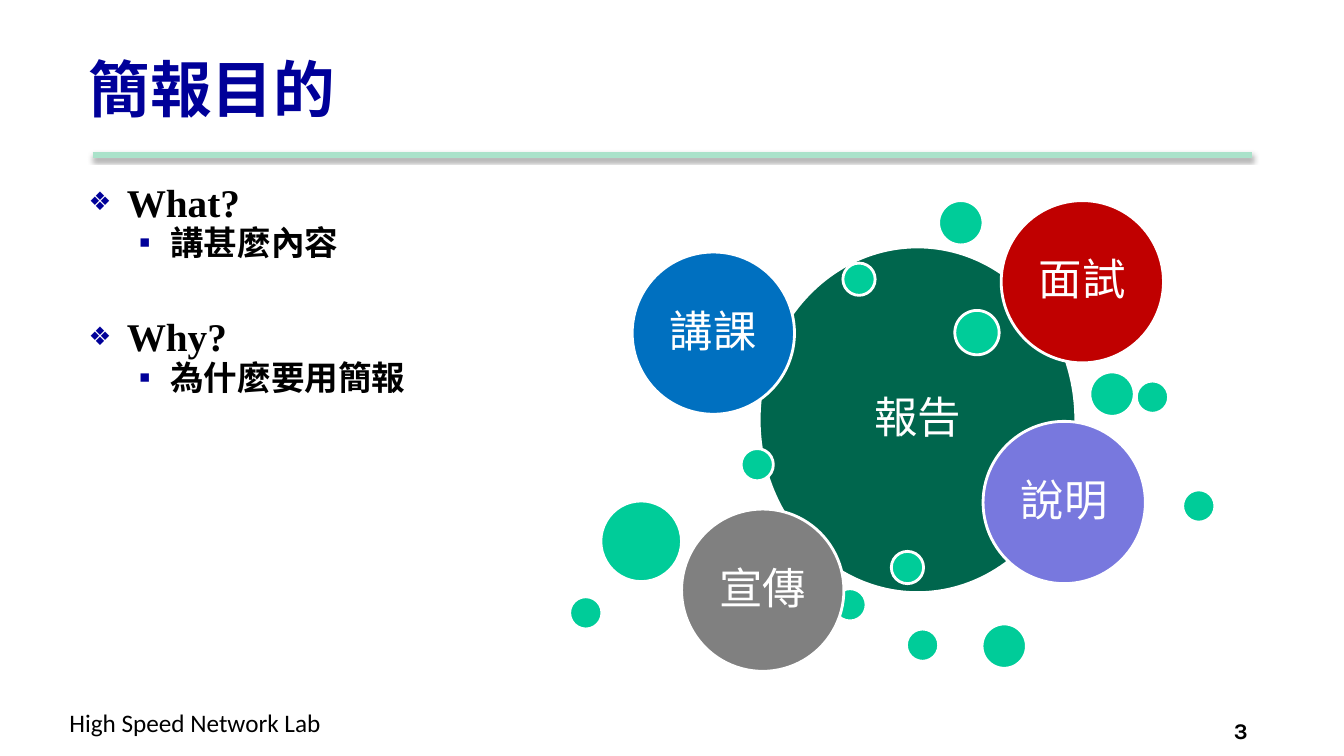
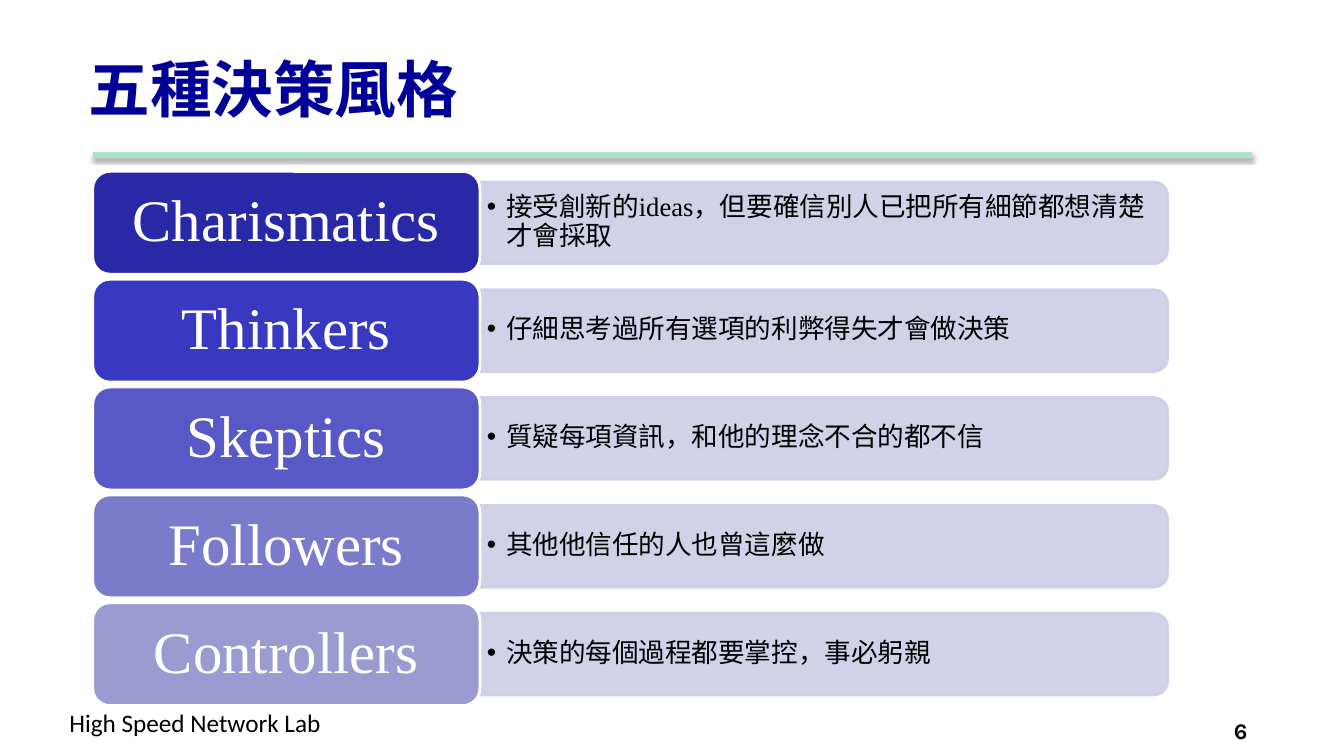
from lxml.etree import SubElement
from pptx import Presentation
from pptx.dml.color import RGBColor
from pptx.enum.shapes import MSO_CONNECTOR, MSO_SHAPE as Preset
from pptx.enum.text import MSO_ANCHOR as Anchor, PP_ALIGN as Align
from pptx.oxml import parse_xml
from pptx.oxml.ns import nsdecls, qn
from pptx.util import Pt

PX = 9144  # 100 px to the inch
colour = RGBColor.from_string

NAVY, MINT, GREEN = "000099", "AAE2CA", "00CC99"
BLACK, WHITE, LILAC = "000000", "FFFFFF", "CDCDE6"
SERIF, SANS, CHINESE = "Times New Roman", "Calibri", "Noto Sans CJK SC"


def add_box(slide, box, preset=None, fill=None, line=WHITE, opacity=100, margins=(10, 5), **frame_format):
    """Add a text box, or a filled preset shape; margins are (side, top and bottom)."""
    box = [round(length * PX) for length in box]
    if preset is None:
        shape = slide.shapes.add_textbox(*box)
    else:
        shape = slide.shapes.add_shape(preset, *box)
        shape.shadow.inherit = False
        shape.fill.solid()
        shape.fill.fore_color.rgb = colour(fill)
        shape.line.color.rgb = colour(line)
        shape.line.width = Pt(2)
        if opacity < 100:
            for value in shape._element.spPr.iter(qn("a:srgbClr")):
                SubElement(value, qn("a:alpha"), val=str(opacity * 1000))
    side, end = margins
    frame_format = {"word_wrap": True, "margin_left": side * PX, "margin_right": side * PX,
                    "margin_top": end * PX, "margin_bottom": end * PX, **frame_format}
    for name, value in frame_format.items():
        setattr(shape.text_frame, name, value)
    return shape


def add_paragraph(shape, text, size, font=SERIF, hex_colour=BLACK, bold=False, bullet=None, **paragraph_format):
    """Write one paragraph; bullet is (character, colour, size in percent, text indent, hanging)."""
    frame = shape.text_frame
    paragraph = frame.add_paragraph() if frame.text else frame.paragraphs[0]
    if bullet:
        character, bullet_colour, percent, indent, hanging = bullet
        properties = paragraph._p.get_or_add_pPr()
        properties.set("marL", str(indent * PX))
        properties.set("indent", str(-hanging * PX))
        SubElement(SubElement(properties, qn("a:buClr")), qn("a:srgbClr"), val=bullet_colour)
        SubElement(properties, qn("a:buSzPct"), val=str(percent * 1000))
        SubElement(properties, qn("a:buFont"), typeface="Arial")
        SubElement(properties, qn("a:buChar"), char=character)
    for name, value in paragraph_format.items():
        setattr(paragraph, name, value)
    run = paragraph.add_run()
    run.text = text
    for name, value in {"size": Pt(size), "name": font, "bold": bold}.items():
        setattr(run.font, name, value)
    run.font.color.rgb = colour(hex_colour)
    SubElement(run._r.get_or_add_rPr(), qn("a:ea"), typeface=CHINESE)


presentation = Presentation()
presentation.slide_width = 1333 * PX
presentation.slide_height = 750 * PX
blank_layout = presentation.slide_layouts[6]

# Shared frame: rule, footer, page number and title
slides = []
for number, title in ((3, "簡報目的"), (6, "五種決策風格")):
    slide = presentation.slides.add_slide(blank_layout)
    slides.append(slide)
    rule = slide.shapes.add_connector(MSO_CONNECTOR.STRAIGHT, 92 * PX, 154 * PX, 1242 * PX, 154 * PX)
    rule.line.color.rgb = colour(MINT)
    rule.line.width = Pt(4.5)
    rule._element.spPr.append(parse_xml(
        f'<a:effectLst {nsdecls("a")}>'
        '<a:outerShdw blurRad="40000" dist="20000" dir="5400000" rotWithShape="0">'
        f'<a:srgbClr val="{BLACK}"><a:alpha val="38000"/></a:srgbClr>'
        '</a:outerShdw></a:effectLst>'))
    add_paragraph(add_box(slide, (59, 697, 279, 40)), "High Speed Network Lab", 18, SANS)
    add_paragraph(add_box(slide, (1214, 707, 99, 30)), str(number), 16, "Karla", bold=True)
    title_box = add_box(slide, (78, 25, 1133, 125), vertical_anchor=Anchor.MIDDLE)
    add_paragraph(title_box, title, 44, CHINESE, NAVY, bold=True)
purpose_slide, styles_slide = slides

# Purpose: questions on the left
questions = (
    ("What?", "講甚麼內容", 0),
    ("Why?", "為什麼要用簡報", 41),
)
question_box = add_box(purpose_slide, (78, 179, 480, 300))
for question, answer, gap in questions:
    add_paragraph(question_box, question, 28, bold=True, bullet=("❖", NAVY, 65, 38, 38),
                  line_spacing=0.85, space_before=Pt(gap))
    add_paragraph(question_box, answer, 24, bold=True, bullet=("▪", NAVY, 100, 81, 31),
                  level=1, line_spacing=0.85, space_before=Pt(2))

# Purpose: bubbles from back to front (left, top, diameter, fill, label)
add_dot = (GREEN, "")
bubbles = (
    (931, 199, 44, *add_dot),
    (827, 584, 32, *add_dot),
    (1127, 378, 32, *add_dot),
    (974, 619, 44, *add_dot),
    (836, 261, 32, *add_dot),
    (735, 445, 32, *add_dot),
    (627, 250, 161, "0070C0", "講課"),
    (947, 308, 44, *add_dot),
    (596, 497, 80, *add_dot),
    (993, 199, 161, "C00000", "面試"),
    (1081, 369, 44, *add_dot),
    (565, 592, 32, *add_dot),
    (884, 547, 32, *add_dot),
    (975, 418, 161, "7878DE", "說明"),
    (1173, 486, 32, *add_dot),
    (676, 505, 161, "808080", "宣傳"),
    (899, 624, 32, *add_dot),
)
ovals = [((753, 245, 314, 343), "00664D", "報告")]
ovals += [((left, top, size, size), fill, label) for left, top, size, fill, label in bubbles]
for box, fill, label in ovals:
    oval = add_box(purpose_slide, box, Preset.OVAL, fill, margins=(0, 0),
                   word_wrap=False, vertical_anchor=Anchor.MIDDLE)
    if label:
        add_paragraph(oval, label, 31, SANS, WHITE, alignment=Align.CENTER, line_spacing=0.9)

# Decision styles: one row each
styles = (
    ("Charismatics", "2929A8", "接受創新的ideas，但要確信別人已把所有細節都想清楚才會採取"),
    ("Thinkers", "3838C0", "仔細思考過所有選項的利弊得失才會做決策"),
    ("Skeptics", "5858C6", "質疑每項資訊，和他的理念不合的都不信"),
    ("Followers", "7B7BCB", "其他他信任的人也曾這麼做"),
    ("Controllers", "9B9BD1", "決策的每個過程都要掌控，事必躬親"),
)
FIRST_ROW, ROW_PITCH, LABEL_HEIGHT = 170, 107, 102
PANEL_LEFT, PANEL_WIDTH, PANEL_HEIGHT = 476, 682, 81
for row, (name, fill, description) in enumerate(styles):
    top = FIRST_ROW + row * ROW_PITCH
    middle = top + LABEL_HEIGHT / 2
    # The panel is drawn upright and turned so that its round corners face right
    panel = add_box(styles_slide, (PANEL_LEFT + (PANEL_WIDTH - PANEL_HEIGHT) / 2, middle - PANEL_WIDTH / 2,
                                   PANEL_HEIGHT, PANEL_WIDTH),
                    Preset.ROUND_2_SAME_RECTANGLE, LILAC, LILAC, opacity=90)
    panel.rotation = 90
    description_box = add_box(styles_slide, (475, top + 14, 678, 73), margins=(8, 4),
                              vertical_anchor=Anchor.MIDDLE)
    add_paragraph(description_box, description, 19, bullet=("•", BLACK, 100, 19, 19), line_spacing=0.9)
    label = add_box(styles_slide, (92, top, 384, LABEL_HEIGHT), Preset.ROUNDED_RECTANGLE, fill,
                    vertical_anchor=Anchor.MIDDLE)
    add_paragraph(label, name, 42, hex_colour=WHITE, alignment=Align.CENTER, line_spacing=0.9)

presentation.save("out.pptx")
